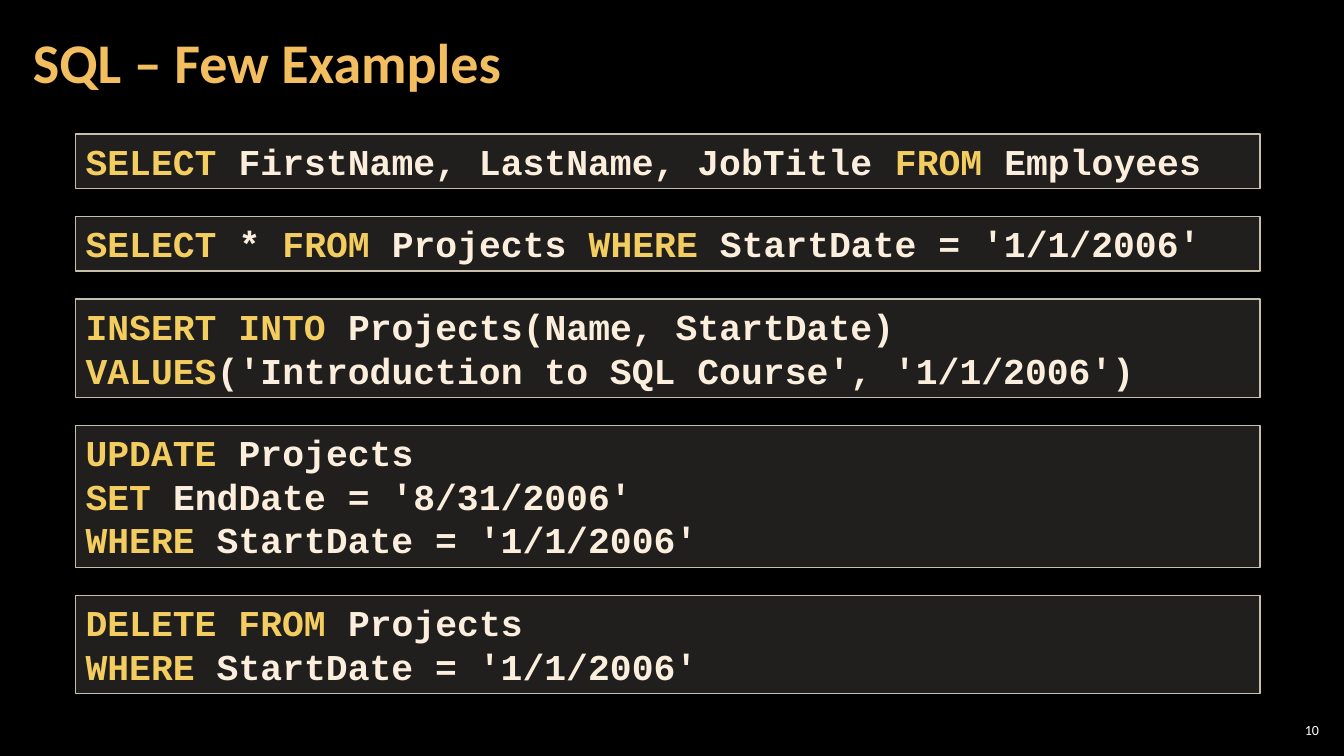
from lxml.etree import SubElement
from pptx import Presentation
from pptx.dml.color import RGBColor
from pptx.enum.shapes import MSO_SHAPE
from pptx.enum.text import MSO_ANCHOR, MSO_AUTO_SIZE, PP_ALIGN
from pptx.oxml.ns import qn
from pptx.util import Pt

TITLE = "SQL – Few Examples"
NUMBER = "10"
# Each line alternates keyword, plain text, keyword, ...
QUERIES = [
    [("SELECT", " FirstName, LastName, JobTitle ", "FROM", " Employees")],
    [("SELECT", " * ", "FROM", " Projects ", "WHERE", " StartDate = '1/1/2006'")],
    [("INSERT INTO", " Projects(Name, StartDate)"),
     ("VALUES", "('Introduction to SQL Course', '1/1/2006')")],
    [("UPDATE", " Projects"),
     ("SET ", "EndDate = '8/31/2006'"),
     ("WHERE", " StartDate = '1/1/2006'")],
    [("DELETE FROM", " Projects"),
     ("WHERE", " StartDate = '1/1/2006'")],
]
WORD, PLAIN = "F3CD60", "FBEEDC"
LEFT, TOP, WIDTH, GAP = 54, 95.8, 846, 20
LINE, PAD = 31.3, 7.6
CODE = {"name": "Courier New", "size": Pt(26), "bold": True}
HEAD = {"name": "Calibri", "size": Pt(40), "bold": True}
SMALL = {"name": "Calibri", "size": Pt(10), "bold": False}


def color(text):
    return RGBColor.from_string(text)


def style(font, look, tint):
    for key, value in look.items():
        setattr(font, key, value)
    font.color.rgb = color(tint)


def place(shape, *box):
    for key, value in zip(("left", "top", "width", "height"), box):
        setattr(shape, key, Pt(value))


def setup(frame, side, edge, anchor):
    """Set the margins, wrapping and anchor of a text frame."""
    look = {"margin_left": Pt(side), "margin_right": Pt(side),
            "margin_top": Pt(edge), "margin_bottom": Pt(edge),
            "word_wrap": True, "auto_size": MSO_AUTO_SIZE.NONE,
            "vertical_anchor": anchor}
    for key, value in look.items():
        setattr(frame, key, value)


def label(shape, text, look, tint, align):
    para = shape.text_frame.paragraphs[0]
    para.alignment = align
    run = para.add_run()
    run.text = text
    style(run.font, look, tint)
    return para


def panel(slide, top, high, lines):
    """Draw one translucent code box with its keywords coloured."""
    box = slide.shapes.add_shape(
        MSO_SHAPE.RECTANGLE, Pt(LEFT), Pt(top), Pt(WIDTH), Pt(high))
    box.shadow.inherit = False
    box.fill.solid()
    box.fill.fore_color.rgb = color("D9D5C7")
    tint = box.fill._xPr.find(qn("a:solidFill"))[0]
    SubElement(tint, qn("a:alpha")).set("val", "15000")
    box.line.color.rgb = color("C7BFAC")
    box.line.width = Pt(1)
    frame = box.text_frame
    setup(frame, 7.2, 3.6, MSO_ANCHOR.TOP)
    frame.auto_size = MSO_AUTO_SIZE.SHAPE_TO_FIT_TEXT
    for row, parts in enumerate(lines):
        para = frame.add_paragraph() if row else frame.paragraphs[0]
        para.alignment = PP_ALIGN.LEFT
        for spot, part in enumerate(parts):
            run = para.add_run()
            run.text = part
            style(run.font, CODE, PLAIN if spot % 2 else WORD)


def main():
    deck = Presentation()
    deck.slide_width, deck.slide_height = Pt(960), Pt(540)
    slide = deck.slides.add_slide(deck.slide_layouts[5])
    slide.background.fill.solid()
    slide.background.fill.fore_color.rgb = color("000000")

    title = slide.shapes.title
    place(title, 15, 3, 754, 87)
    setup(title.text_frame, 8.5, 2.8, MSO_ANCHOR.MIDDLE)
    para = label(title, TITLE, HEAD, "F3BE60", PP_ALIGN.LEFT)
    para.line_spacing = 0.9

    top = TOP
    for lines in QUERIES:
        high = PAD + LINE * len(lines)
        panel(slide, top, high, lines)
        top += high + GAP

    page = slide.shapes.add_textbox(Pt(911), Pt(514), Pt(34), Pt(15))
    setup(page.text_frame, 2.8, 2.8, MSO_ANCHOR.MIDDLE)
    label(page, NUMBER, SMALL, "FFFFFF", PP_ALIGN.RIGHT)

    deck.save("out.pptx")


if __name__ == "__main__":
    main()
